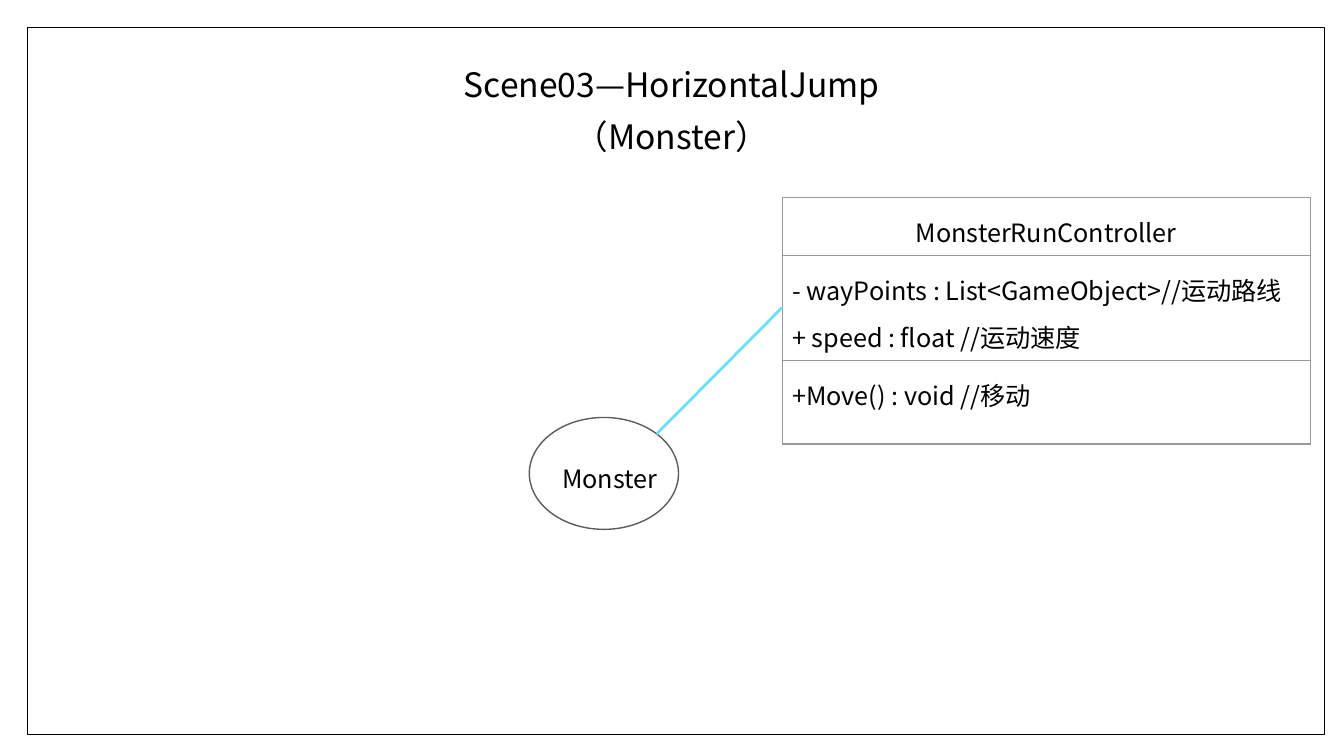
from math import cos, pi, sin

from lxml.etree import SubElement
from pptx import Presentation
from pptx.dml.color import RGBColor
from pptx.enum.shapes import MSO_CONNECTOR, MSO_SHAPE
from pptx.enum.text import MSO_ANCHOR, MSO_AUTO_SIZE, PP_ALIGN
from pptx.oxml.ns import qn
from pptx.util import Cm, Pt

FONT = "Noto Sans CJK SC"
BLACK, WHITE, GREY, DARK_GREY, CYAN = "000000", "FFFFFF", "999999", "5C5C5C", "6CDEFF"


def paint(color_format, color):
    """Set a colour from a hex string."""
    color_format.rgb = RGBColor.from_string(color)


def lengths(box):
    """Turn a box in centimetres into slide lengths."""
    return [Cm(value) for value in box]


def write(frame, lines, size, align=PP_ALIGN.LEFT):
    """Write each line as a paragraph with one run."""
    for number, line in enumerate(lines):
        para = frame.add_paragraph() if number else frame.paragraphs[0]
        para.alignment = align
        para.line_spacing = 1.3
        span = para.add_run()
        span.text = line
        span.font.size = Pt(size)
        paint(span.font.color, BLACK)
        span.font.name = FONT
        SubElement(span.font._element, qn("a:ea"), typeface=FONT)


def add_outline(page, kind, box, color, width):
    """Draw an unfilled preset shape."""
    shape = page.shapes.add_shape(kind, *lengths(box))
    shape.shadow.inherit = False
    shape.fill.background()
    paint(shape.line.color, color)
    shape.line.width = Pt(width)


def add_title(page, box, lines):
    """Place the scene title in the title placeholder."""
    title = page.shapes.title
    title.left, title.top, title.width, title.height = lengths(box)
    frame = title.text_frame
    frame.word_wrap = True
    frame.auto_size = MSO_AUTO_SIZE.NONE
    frame.vertical_anchor = MSO_ANCHOR.TOP
    write(frame, lines, 24, PP_ALIGN.CENTER)


def add_borders(cell, color, width):
    """Draw all four borders of a table cell."""
    properties = cell._tc.get_or_add_tcPr()
    for side in ("lnL", "lnR", "lnT", "lnB"):
        border = SubElement(properties, qn(f"a:{side}"), w=str(Pt(width)))
        fill = SubElement(border, qn("a:solidFill"))
        SubElement(fill, qn("a:srgbClr"), val=color)


def add_class_table(page, box, sections):
    """Build a class diagram from (row height, alignment, lines) sections."""
    table = page.shapes.add_table(len(sections), 1, *lengths(box)).table
    table.first_row = table.horz_banding = False
    for row, (height, align, lines) in zip(table.rows, sections):
        row.height = Cm(height)
        cell = row.cells[0]
        add_borders(cell, GREY, 1)
        cell.fill.solid()
        paint(cell.fill.fore_color, WHITE)
        write(cell.text_frame, lines, 18, align)


def add_object(page, box, name):
    """Draw a game object as an ellipse with its name."""
    left, top, width, height = box
    add_outline(page, MSO_SHAPE.OVAL, box, DARK_GREY, 1)
    label = page.shapes.add_textbox(*lengths((left + 0.58, top + 0.81, 4.93, 1.24)))
    label.text_frame.word_wrap = True
    write(label.text_frame, [name], 18)


def add_link(page, object_box, end):
    """Join the upper right of an ellipse to a point."""
    left, top, width, height = object_box
    start = (left + width / 2 * (1 + cos(pi / 4)), top + height / 2 * (1 - sin(pi / 4)))
    link = page.shapes.add_connector(MSO_CONNECTOR.STRAIGHT, *lengths(start + end))
    paint(link.line.color, CYAN)
    link.line.width = Pt(2)
    SubElement(link._element.spPr, qn("a:effectLst"))


def build_scene(page):
    """Lay out the monster scene."""
    monster = (13.34, 10.52, 3.76, 2.82)
    controller = (19.71, 4.98, 13.31, 6.2)
    add_title(page, (9.37, 1.17, 15.11, 2.95), ["Scene03—HorizontalJump", "（Monster）"])
    add_outline(page, MSO_SHAPE.RECTANGLE, (0.69, 0.69, 32.69, 17.81), BLACK, 0)
    add_class_table(page, controller, [
        (1.44, PP_ALIGN.CENTER, ["MonsterRunController"]),
        (2.65, PP_ALIGN.LEFT, ["- wayPoints : List<GameObject>//运动路线",
                               "+ speed : float //运动速度"]),
        (2.11, PP_ALIGN.LEFT, ["+Move() : void //移动"]),
    ])
    add_object(page, monster, "Monster")
    add_link(page, monster, (controller[0], 7.75))


deck = Presentation()
deck.slide_width, deck.slide_height = Cm(33.87), Cm(19.05)
build_scene(deck.slides.add_slide(deck.slide_layouts[5]))
deck.save("out.pptx")
